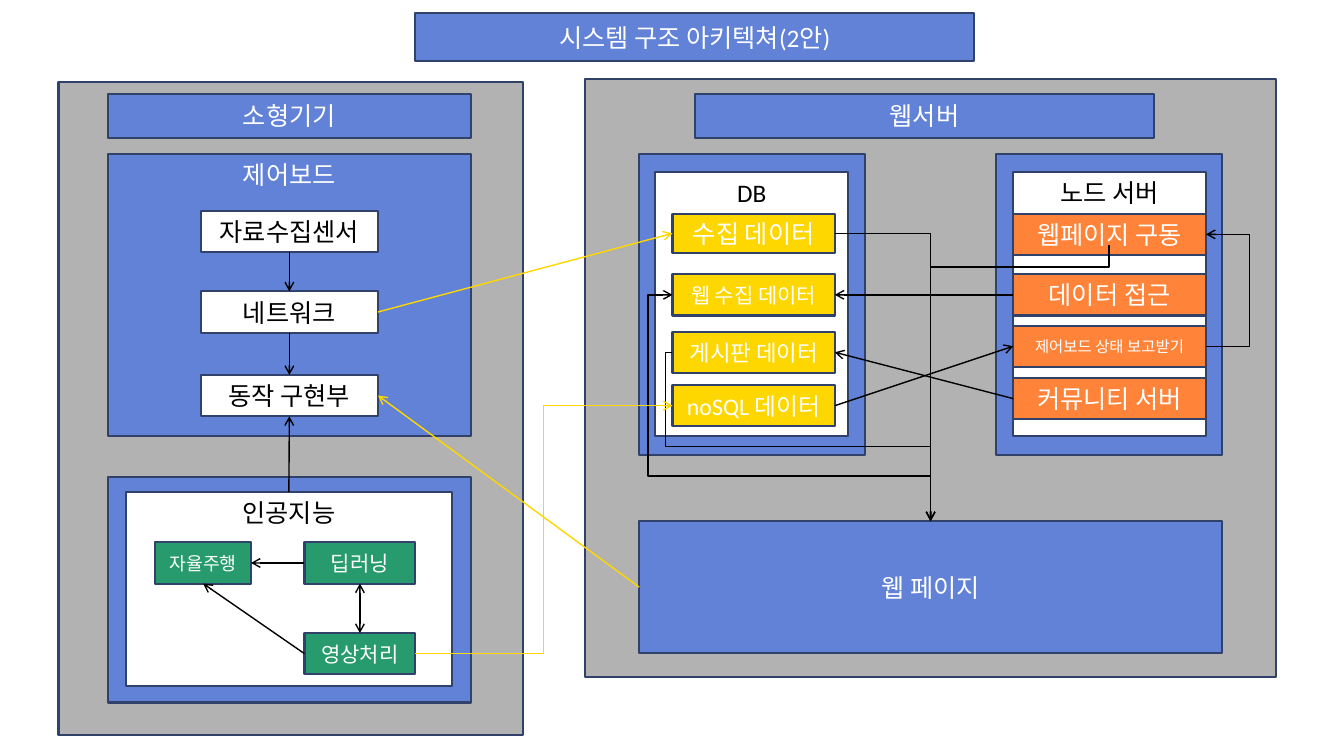
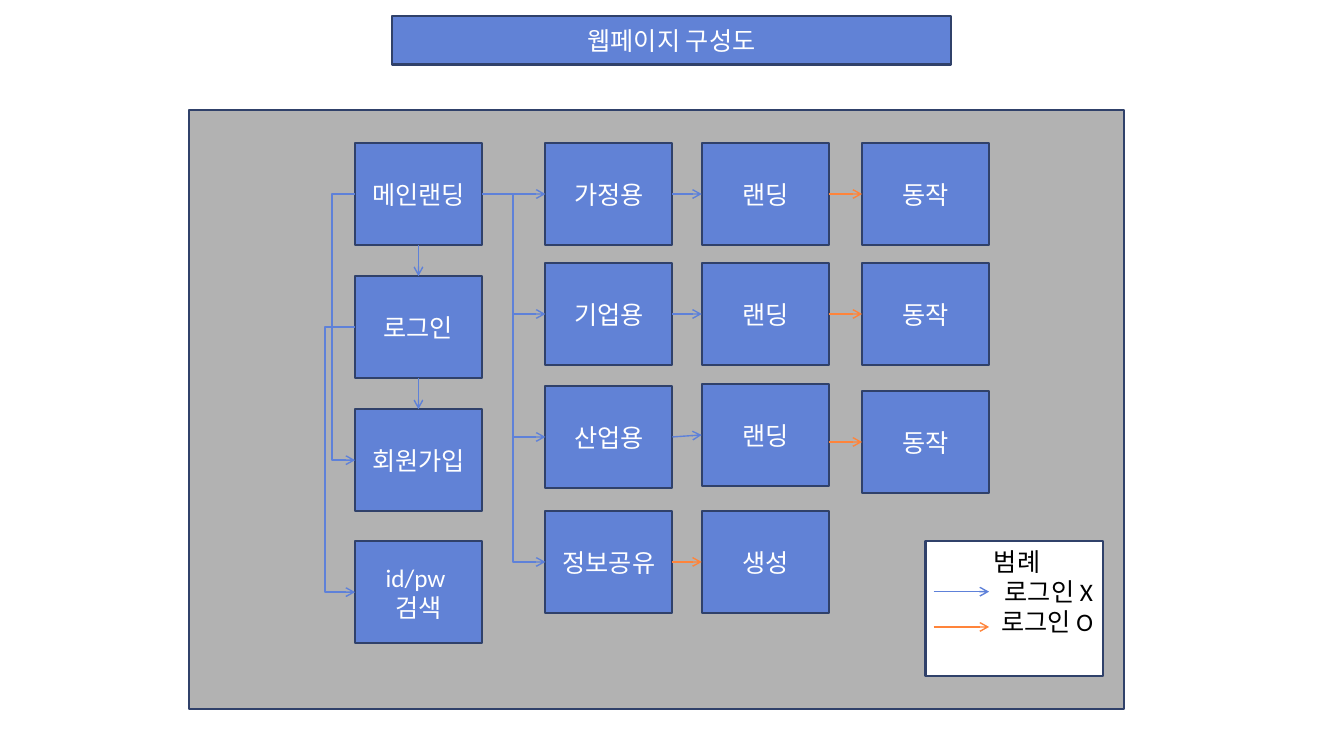
from lxml.etree import SubElement
from pptx import Presentation
from pptx.dml.color import RGBColor
from pptx.enum.shapes import MSO_CONNECTOR, MSO_SHAPE
from pptx.enum.text import MSO_ANCHOR, PP_ALIGN
from pptx.oxml.ns import qn
from pptx.util import Inches, Pt

COLORS = {
    "blue": "6182D6", "edge": "30416A", "gray": "B2B2B2", "white": "FFFFFF",
    "black": "000000", "yellow": "FFD700", "orange": "FF843A", "green": "289B6E",
    "link": "5E81D9",
}
FONT = "Calibri"
TITLE_SIZE = (5.54, 0.48)
SITES = {"top": 0, "left": 1, "bottom": 2, "right": 3}
HAIR = 1 / 500  # width of a loop whose two ends share one edge line

# Panels: key, text, (left, top, width, height), fill
PANELS = [
    ("device area", "", (0.58, 0.81, 4.61, 6.48), "gray"),
    ("controller", "제어보드", (1.07, 1.53, 3.6, 2.8), "blue"),
    ("server area", "", (5.8, 0.78, 6.86, 5.94), "gray"),
    ("node frame", "", (9.88, 1.53, 2.24, 2.98), "blue"),
    ("db frame", "", (6.34, 1.53, 2.24, 2.98), "blue"),
    ("db", "DB", (6.5, 1.71, 1.91, 2.62), "white"),
    ("node", "노드 서버", (10.05, 1.71, 1.91, 2.62), "white"),
    ("ai frame", "", (1.07, 4.73, 3.6, 2.24), "blue"),
    ("ai", "인공지능", (1.25, 4.88, 3.23, 1.93), "white"),
]
HEADERS = [
    ("page", "웹 페이지", (6.34, 5.17, 5.78, 1.31)),
    ("server", "웹서버", (6.89, 0.93, 4.56, 0.44)),
    ("device", "소형기기", (1.07, 0.93, 3.6, 0.44)),
]
# Stacks: left, width, fill, rows of (key, text, top, height, size)
STACKS = [
    (6.67, 1.61, "yellow", [("collected", "수집 데이터", 2.12, 0.39, 18),
                            ("web data", "웹 수집 데이터", 2.72, 0.41, 15),
                            ("board", "게시판 데이터", 3.29, 0.41, 16),
                            ("nosql", "noSQL 데이터", 3.82, 0.41, 17)]),
    (10.05, 1.91, "orange", [("run", "웹페이지 구동", 2.12, 0.41, 18),
                             ("access", "데이터 접근", 2.72, 0.41, 18),
                             ("report", "제어보드 상태 보고받기", 3.23, 0.41, 11),
                             ("community", "커뮤니티 서버", 3.75, 0.41, 18)]),
    (1.99, 1.76, "white", [("sensor", "자료수집센서", 2.09, 0.41, 18),
                           ("network", "네트워크", 2.89, 0.41, 18),
                           ("motion", "동작 구현부", 3.72, 0.41, 18)]),
    (3.02, 1.1, "green", [("learning", "딥러닝", 5.38, 0.41, 15),
                          ("vision", "영상처리", 6.28, 0.41, 15)]),
    (1.54, 0.95, "green", [("driving", "자율주행", 5.38, 0.41, 13)]),
]
# Arrows: start, end, colour, options; an end is (key, side) or a point
SYSTEM_ARROWS = [
    (("sensor", "bottom"), ("network", "top"), "black", {}),
    (("network", "bottom"), ("motion", "top"), "black", {}),
    (("network", "right"), ("collected", "left"), "yellow", {}),
    (("access", "left"), ("web data", "right"), "black", {}),
    ((11, 2.43), ("page", "top"), "black", {"bends": [2.65], "down": True}),
    (("nosql", "right"), ("report", "left"), "black", {}),
    (("learning", "bottom"), ("vision", "top"), "black", {"both": True}),
    (("vision", "left"), ("driving", "bottom"), "black", {}),
    (("learning", "left"), ("driving", "right"), "black", {}),
    (("community", "left"), ("board", "right"), "black", {}),
    (("collected", "right"), ("page", "top"), "black", {"bends": []}),
    (("page", "top"), ("web data", "left"), "black",
     {"bends": [4.72, 6.43], "down": True}),
    (("board", "left"), ("page", "top"), "black", {"bends": [6.6, 4.43]}),
    (("vision", "right"), ("nosql", "left"), "yellow", {"bends": [5.39]}),
    (("ai", "top"), ("motion", "bottom"), "black", {}),
    (("report", "right"), ("run", "right"), "black", {"bends": [12.4]}),
    (("page", "left"), ("motion", "right"), "yellow", {}),
]

CARD = (1.26, 1.01)
# Card columns: left, rows of (text, top)
CARD_COLUMNS = {
    "main": (3.52, [("메인랜딩", 1.42), ("로그인", 2.74), ("회원가입", 4.06),
                    ("id/pw \v검색", 5.37)]),
    "use": (5.41, [("가정용", 1.42), ("기업용", 2.61), ("산업용", 3.83),
                   ("정보공유", 5.07)]),
    "landing": (6.96, [("랜딩", 1.42), ("랜딩", 2.61), ("랜딩", 3.81), ("생성", 5.07)]),
    "action": (8.55, [("동작", 1.42), ("동작", 2.61), ("동작", 3.88)]),
}
LEGEND = [(" 범례", PP_ALIGN.CENTER), ("로그인 X", PP_ALIGN.RIGHT),
          ("로그인 O", PP_ALIGN.RIGHT)]
LEGEND_KEYS = [("link", 5.87), ("orange", 6.22)]


def rgb(name):
    """Return the named colour."""
    return RGBColor.from_string(COLORS[name])


def add_box(s, text, at, fill="blue", size=18, anchor=MSO_ANCHOR.MIDDLE):
    """Add an outlined box; text is a string or a list of (text, alignment)."""
    sp = s.shapes.add_shape(MSO_SHAPE.RECTANGLE, *map(Inches, at))
    sp.shadow.inherit = False
    sp.fill.solid()
    sp.fill.fore_color.rgb = rgb(fill)
    sp.line.color.rgb = rgb("edge")
    sp.line.width = Pt(1.5)
    tf = sp.text_frame
    tf.vertical_anchor = anchor
    lines = [(text, PP_ALIGN.CENTER)] if isinstance(text, str) else text
    style = {"name": FONT, "size": Pt(size)}
    for i, (line, align) in enumerate(lines):
        p = tf.add_paragraph() if i else tf.paragraphs[0]
        p.text = line
        p.alignment = align
        for r in p.runs:
            for attr, value in style.items():
                setattr(r.font, attr, value)
            r.font.color.rgb = rgb("black" if fill == "white" else "white")
    return sp


def locate(boxes, end):
    """Return the point of an arrow end in inches."""
    if not isinstance(end[1], str):
        return end
    sp, side = boxes[end[0]], end[1]
    fx, fy = {"top": (0.5, 0), "left": (0, 0.5),
              "bottom": (0.5, 1), "right": (1, 0.5)}[side]
    return ((sp.left + fx * sp.width) / Inches(1), (sp.top + fy * sp.height) / Inches(1))


def bend(c, start, end, bends, down):
    """Route an elbow through the bends, first sideways or first down."""
    (x1, y1), (x2, y2) = start, end
    dx, dy = (x2 - x1) or HAIR, (y2 - y1) or HAIR
    w, h = (abs(dy), abs(dx)) if down else (abs(dx), abs(dy))
    cx, cy = x1 + dx / 2, y1 + dy / 2
    c.left, c.top = Inches(cx - w / 2), Inches(cy - h / 2)
    c.width, c.height = Inches(w), Inches(h)
    xfrm = c._element.spPr.find(qn("a:xfrm"))
    flips = (dy < 0, dx > 0) if down else (dx < 0, dy < 0)
    for name, on in zip(("flipH", "flipV"), flips):
        xfrm.set(name, "1" if on else "0")
    if down:
        xfrm.set("rot", "5400000")
    geom = c._element.spPr.find(qn("a:prstGeom"))
    geom.set("prst", f"bentConnector{len(bends) + 2}")
    av = geom.find(qn("a:avLst"))
    if av is None:
        av = SubElement(geom, qn("a:avLst"))
    axes = [(x1, dx), (y1, dy)]
    for i, at in enumerate(bends):
        origin, span = axes[(i + down) % 2]
        SubElement(av, qn("a:gd"), name=f"adj{i + 1}",
                   fmla=f"val {round((at - origin) / span * 100000)}")


def add_arrow(s, boxes, start, end, color, bends=None, down=False, both=False):
    """Draw an arrow between box sides or points, straight or bent."""
    kind = MSO_CONNECTOR.STRAIGHT if bends is None else MSO_CONNECTOR.ELBOW
    points = locate(boxes, start), locate(boxes, end)
    c = s.shapes.add_connector(kind, *[Inches(v) for pt in points for v in pt])
    for target, connect in ((start, c.begin_connect), (end, c.end_connect)):
        if isinstance(target[1], str):
            connect(boxes[target[0]], SITES[target[1]])
    if bends is not None:
        bend(c, *points, bends, down)
    c.line.color.rgb = rgb(color)
    c.line.width = Pt(1)
    ln = c.line._get_or_add_ln()
    for tag in ("a:headEnd", "a:tailEnd") if both else ("a:tailEnd",):
        SubElement(ln, qn(tag), type="arrow")
    SubElement(c._element.spPr, qn("a:effectLst"))


def add_titled_slide(prs, title, left, top):
    """Add a blank slide with its title band."""
    s = prs.slides.add_slide(prs.slide_layouts[6])
    add_box(s, title, (left, top, *TITLE_SIZE))
    return s


def build_system(prs):
    """Build the system architecture slide."""
    s = add_titled_slide(prs, "시스템 구조 아키텍쳐(2안)", 4.12, 0.13)
    boxes = {}
    for key, text, at, fill in PANELS:
        boxes[key] = add_box(s, text, at, fill, anchor=MSO_ANCHOR.TOP)
    for key, text, at in HEADERS:
        boxes[key] = add_box(s, text, at)
    for left, width, fill, rows in STACKS:
        for key, text, top, height, size in rows:
            boxes[key] = add_box(s, text, (left, top, width, height), fill, size)
    for start, end, color, options in SYSTEM_ARROWS:
        add_arrow(s, boxes, start, end, color, **options)


def build_pages(prs):
    """Build the web page map slide."""
    s = add_titled_slide(prs, "웹페이지 구성도", 3.89, 0.16)
    add_box(s, "", (1.87, 1.09, 9.28, 5.94), "gray")
    boxes = {}
    for column, (left, rows) in CARD_COLUMNS.items():
        for i, (text, top) in enumerate(rows):
            boxes[column, i] = add_box(s, text, (left, top, *CARD))
    add_box(s, LEGEND, (9.18, 5.37, 1.76, 1.34), "white", anchor=MSO_ANCHOR.TOP)

    for i in range(4):
        add_arrow(s, boxes, (("use", i), "right"), (("landing", i), "left"),
                  "link" if i < 3 else "orange")
        add_arrow(s, boxes, (("main", 0), "right"), (("use", i), "left"), "link",
                  bends=[5.09] if i else None)
    for i in range(3):
        y = locate(boxes, (("action", i), "left"))[1]
        add_arrow(s, boxes, (8.22, y), (("action", i), "left"), "orange")
    for i, loop_x in enumerate((3.29, 3.22)):
        add_arrow(s, boxes, (("main", i), "bottom"), (("main", i + 1), "top"), "link")
        add_arrow(s, boxes, (("main", i), "left"), (("main", i + 2), "left"), "link",
                  bends=[loop_x])
    for color, y in LEGEND_KEYS:
        add_arrow(s, boxes, (9.26, y), (9.81, y), color)


prs = Presentation()
prs.slide_width, prs.slide_height = Inches(13.33), Inches(7.5)
build_system(prs)
build_pages(prs)
prs.save("out.pptx")
